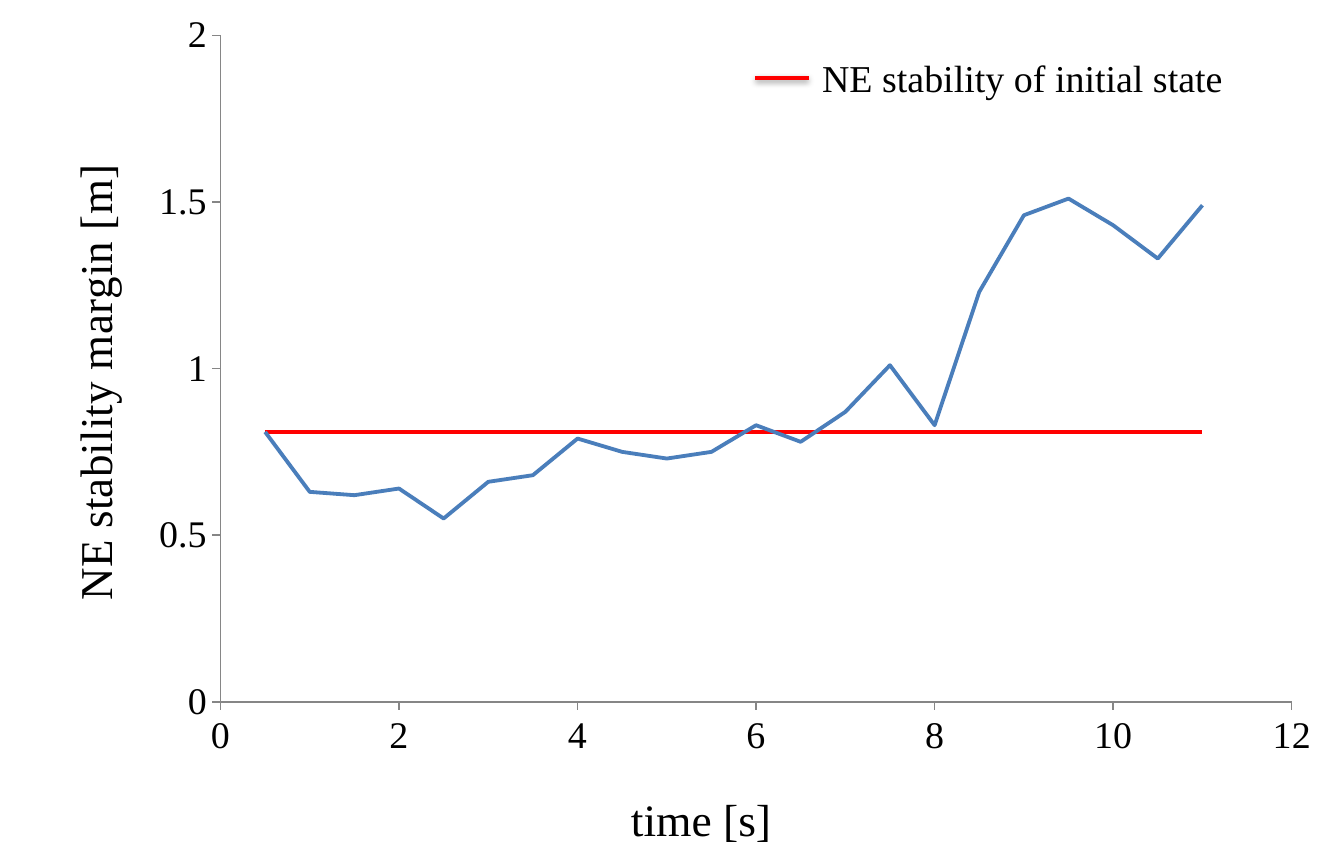
"""Build a slide charting the NE stability margin over time."""
from dataclasses import dataclass, field

from lxml import etree
from pptx import Presentation
from pptx.chart.data import XyChartData
from pptx.dml.color import RGBColor
from pptx.enum.chart import XL_CHART_TYPE, XL_LEGEND_POSITION, XL_TICK_MARK
from pptx.enum.shapes import MSO_CONNECTOR
from pptx.enum.text import MSO_ANCHOR, MSO_AUTO_SIZE
from pptx.oxml import parse_xml
from pptx.oxml.ns import nsdecls, qn
from pptx.slide import Slide
from pptx.util import Pt

SCATTER_LINES = XL_CHART_TYPE.XY_SCATTER_LINES_NO_MARKERS
STRAIGHT = MSO_CONNECTOR.STRAIGHT
TICK_OUTSIDE, TICK_NONE = XL_TICK_MARK.OUTSIDE, XL_TICK_MARK.NONE
ANCHOR_TOP, GROW = MSO_ANCHOR.TOP, MSO_AUTO_SIZE.SHAPE_TO_FIT_TEXT
LEFT_SIDE = 1
EMU_PER_PX = 9144

MARGINS = [0.81, 0.63, 0.62, 0.64, 0.55, 0.66, 0.68, 0.79, 0.75, 0.73, 0.75,
           0.83, 0.78, 0.87, 1.01, 0.83, 1.23, 1.46, 1.51, 1.43, 1.33, 1.49]
TIMES = [(step + 1) / 2 for step in range(len(MARGINS))]


def px(length):
    return length * EMU_PER_PX


@dataclass(frozen=True)
class Theme:
    ink: RGBColor = RGBColor(0x00, 0x00, 0x00)
    axis: RGBColor = RGBColor(0x86, 0x86, 0x86)
    margin: RGBColor = RGBColor(0x4A, 0x7E, 0xBB)
    initial: RGBColor = RGBColor(0xFF, 0x00, 0x00)
    face: str = "Times New Roman"
    label_size: int = 20
    title_size: int = 24
    line_width: float = 2
    axis_width: float = 0.75


@dataclass
class Board:
    slide: Slide
    theme: Theme = field(default_factory=Theme)

    def style_font(self, font, size):
        font.name, font.size, font.bold = self.theme.face, Pt(size), False
        font.color.rgb = self.theme.ink

    def style_line(self, line, color, width):
        line.color.rgb = color
        line.width = Pt(width)

    def place(self, parent, index, **fractions):
        for old in parent.findall(qn("c:layout")):
            parent.remove(old)
        layout = parse_xml(f"<c:layout {nsdecls('c')}><c:manualLayout/></c:layout>")
        modes = {"xMode": "edge", "yMode": "edge"}
        if "w" in fractions:
            modes = {"layoutTarget": "inner", **modes}
        for tag, value in {**modes, **fractions}.items():
            etree.SubElement(layout[0], qn(f"c:{tag}")).set("val", str(value))
        parent.insert(index, layout)

    def axis(self, axis, title, top, step, turn, x, y):
        axis.minimum_scale, axis.maximum_scale, axis.major_unit = 0, top, step
        axis.has_major_gridlines = False
        axis.major_tick_mark, axis.minor_tick_mark = TICK_OUTSIDE, TICK_NONE
        self.style_line(axis.format.line, self.theme.axis, self.theme.axis_width)
        self.style_font(axis.tick_labels.font, self.theme.label_size)
        axis.tick_labels.number_format = "General"
        axis.tick_labels.number_format_is_linked = False
        heading = axis.axis_title
        heading.text_frame.text = title
        self.style_font(heading.text_frame.paragraphs[0].runs[0].font, self.theme.title_size)
        body = heading.element.xpath(".//a:bodyPr")[0]
        body.set("rot", str(turn * 60000))
        body.set("vert", "horz")
        self.place(heading.element, 1, x=x, y=y)

    def scatter(self, left, top, width, height, curves):
        data = XyChartData()
        for name, values, _ in curves:
            series = data.add_series(name)
            for time, value in zip(TIMES, values):
                series.add_data_point(time, value)
        chart = self.slide.shapes.add_chart(
            SCATTER_LINES, px(left), px(top), px(width), px(height), data).chart
        chart.has_title = chart.has_legend = False
        self.style_font(chart.font, self.theme.label_size)
        chart.plots[0].vary_by_categories = False
        for series, (_, _, color) in zip(chart.plots[0].series, curves):
            series.smooth = False
            self.style_line(series.format.line, color, self.theme.line_width)
        plot_area = chart.element.xpath("c:chart/c:plotArea")[0]
        self.place(plot_area, 0, x=0.163, y=0.037, w=0.807, h=0.788)
        return chart

    def key(self, text, left, top, width, height, line_left, color):
        group = self.slide.shapes.add_group_shape()
        label = group.shapes.add_textbox(px(left), px(top), px(width), px(height))
        frame = label.text_frame
        frame.text = text
        frame.word_wrap = False
        frame.auto_size, frame.vertical_anchor = GROW, ANCHOR_TOP
        self.style_font(frame.paragraphs[0].runs[0].font, self.theme.label_size)
        middle = px(top) + px(height) // 2
        sample = group.shapes.add_connector(STRAIGHT, px(line_left), middle, px(left), middle)
        sample.end_connect(label, LEFT_SIDE)
        self.style_line(sample.line, color, self.theme.line_width)
        sample.element.spPr.append(parse_xml(
            f'<a:effectLst {nsdecls("a")}>'
            f'<a:outerShdw blurRad="{Pt(3.1)}" dist="{Pt(1.6)}" dir="5400000" rotWithShape="0">'
            '<a:srgbClr val="000000"><a:alpha val="38000"/></a:srgbClr>'
            '</a:outerShdw></a:effectLst>'))


def main():
    deck = Presentation()
    deck.slide_width, deck.slide_height = px(984), px(630)
    board = Board(deck.slides.add_slide(deck.slide_layouts[6]))
    theme = board.theme
    initial = [MARGINS[0]] * len(MARGINS)
    chart = board.scatter(3, 3, 972, 627, [
        ("NE stability margin", MARGINS, theme.margin),
        ("Initial state", initial, theme.initial),
    ])
    board.axis(chart.category_axis, "time [s]", 12, 2, 0, 0.466, 0.92)
    board.axis(chart.value_axis, "NE stability margin [m]", 2, 0.5, -90, 0.04, 0.186)
    board.key("NE stability of initial state", 592, 35, 315, 44, 553, theme.initial)
    deck.save("out.pptx")


if __name__ == "__main__":
    main()
